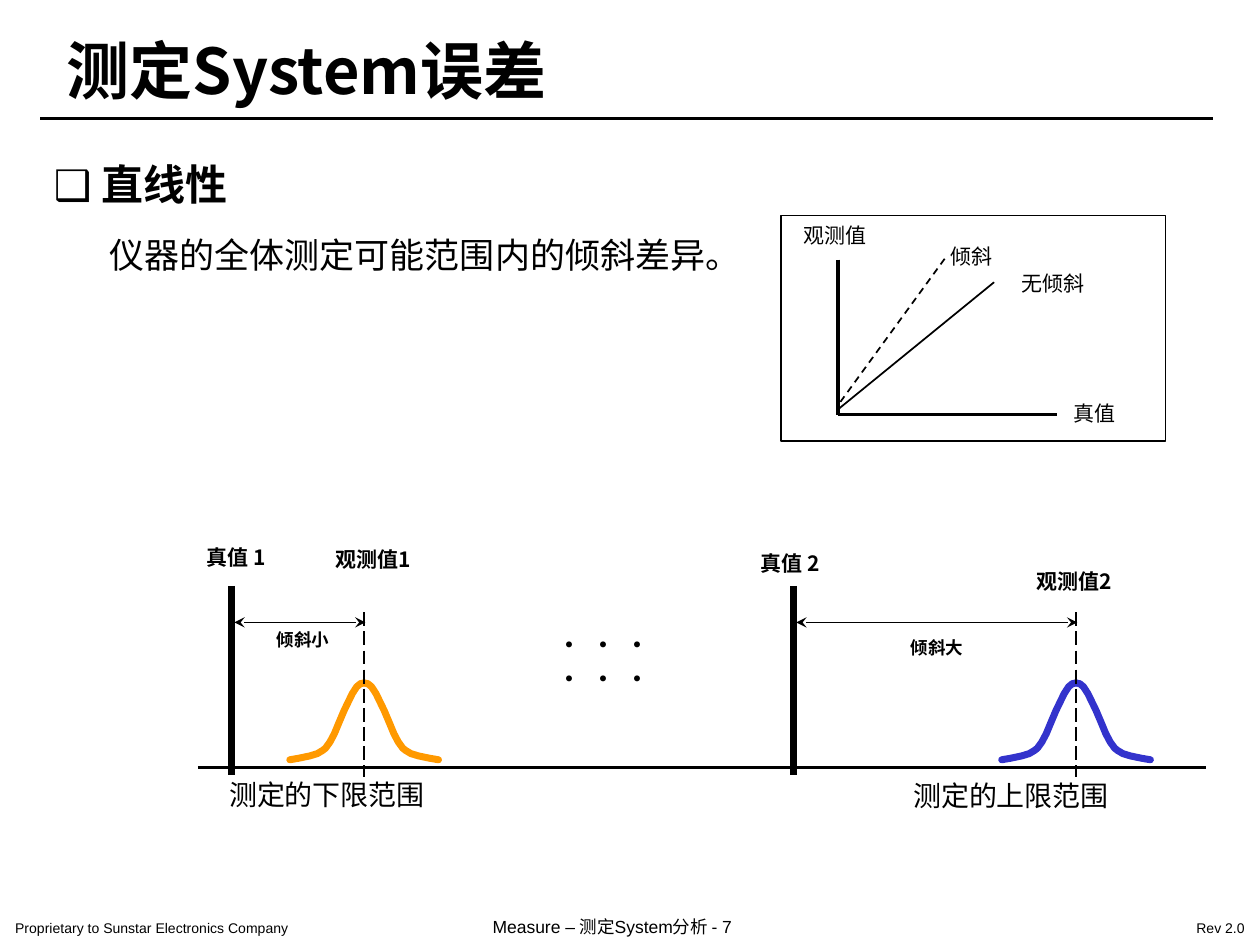
import dataclasses

import pptx
import pptx.dml.color
import pptx.enum.dml
import pptx.enum.shapes
import pptx.enum.text
import pptx.oxml.ns
import pptx.util
from lxml import etree

COLUMNS = 100
BLACK = "000000"
HAN = "Noto Sans CJK SC"
LATIN = "Arial"
ALIGN = pptx.enum.text.PP_ALIGN
ANCHOR = pptx.enum.text.MSO_ANCHOR
DASH = pptx.enum.dml.MSO_LINE
HALF_BELL = [
    (0, 1), (0.12, 0.98), (0.27, 0.95), (0.37, 0.92), (0.44, 0.88),
    (0.48, 0.85), (0.54, 0.77), (0.6, 0.66), (0.66, 0.52), (0.73, 0.36),
    (0.79, 0.24), (0.84, 0.14), (0.9, 0.05), (0.95, 0.01), (1, 0),
]

deck = pptx.Presentation()
deck.slide_width = pptx.util.Inches(10)
deck.slide_height = pptx.util.Inches(7.5)
slide = deck.slides.add_slide(deck.slide_layouts[6])
UNIT = deck.slide_width / COLUMNS


@dataclasses.dataclass
class Box:
    left: float
    top: float
    width: float
    height: float

    def inner(self, left, top, width, height):
        return Box(self.left + left, self.top + top, width, height)

    def lengths(self):
        return [grid(n) for n in (self.left, self.top, self.width, self.height)]


def grid(cells):
    return pptx.util.Emu(round(cells * UNIT))


def color(code):
    return pptx.dml.color.RGBColor.from_string(code)


def stroke(line, weight, code=BLACK):
    line.color.rgb = color(code)
    line.width = pptx.util.Pt(weight)


def add_xml(parent, tag, **attributes):
    return etree.SubElement(parent, pptx.oxml.ns.qn(tag), **attributes)


def write(box, lines, size, bold=False, align=ALIGN.LEFT, wrap=True,
          inset=(1, 0.5), anchor=ANCHOR.TOP, spacing=None, hang=0):
    words = slide.shapes.add_textbox(*box.lengths())
    frame = words.text_frame
    frame.word_wrap = wrap
    frame.vertical_anchor = anchor
    frame.margin_left = frame.margin_right = grid(inset[0])
    frame.margin_top = frame.margin_bottom = grid(inset[1])
    for index, runs in enumerate(lines):
        paragraph = frame.add_paragraph() if index else frame.paragraphs[0]
        paragraph.alignment = align
        if spacing:
            paragraph.line_spacing = spacing
        if hang:
            properties = paragraph._p.get_or_add_pPr()
            properties.set("marL", str(grid(hang)))
            properties.set("indent", str(-grid(hang)))
        for content, face in runs:
            run = paragraph.add_run()
            run.text = content
            run.font.size = pptx.util.Pt(size)
            run.font.bold = bold
            run.font.name = face
            run.font.color.rgb = color(BLACK)
            add_xml(run._r.get_or_add_rPr(), "a:ea", typeface=HAN)


def label(box, content, size=12, **style):
    style.setdefault("align", ALIGN.CENTER)
    write(box, [[(content, HAN)]], size, **style)


def rule(box, start, end, weight, dash=None, arrows=False):
    ends = [(box.left + x, box.top + y) for x, y in (start, end)]
    stroke_line = slide.shapes.add_connector(
        pptx.enum.shapes.MSO_CONNECTOR.STRAIGHT,
        *[grid(n) for point in ends for n in point])
    stroke(stroke_line.line, weight)
    if dash:
        stroke_line.line.dash_style = dash
    if arrows:
        outline = stroke_line.line._get_or_add_ln()
        add_xml(outline, "a:headEnd", type="stealth")
        add_xml(outline, "a:tailEnd", type="stealth")
    add_xml(stroke_line._element.spPr, "a:effectLst")


def bell(box, code):
    for side in (-1, 1):
        middle = box.left + box.width / 2
        points = [(grid(middle + side * (1 - x) * box.width / 2),
                   grid(box.top + y * box.height)) for x, y in HALF_BELL]
        builder = slide.shapes.build_freeform(*points[0])
        builder.add_line_segments(points[1:], close=False)
        half = builder.convert_to_shape()
        half.shadow.inherit = False
        half.fill.background()
        stroke(half.line, 4, code)
        half.line._get_or_add_ln().set("cap", "rnd")


def heading(box):
    label(box.inner(1, 0, 87.5, 5.8), "测定System误差", 36, bold=True,
          align=ALIGN.LEFT, anchor=ANCHOR.MIDDLE, inset=(1.1, 0.6))
    rule(box, (0, 6.8), (box.width, 6.8), 1.5)


def definition(box):
    write(box.inner(0, 0, box.width, 5.4), [[("❑ ", LATIN), ("直线性", HAN)]],
          24, bold=True, hang=3.8)
    label(box.inner(4.4, 4.6, 57.1, 5.7), "仪器的全体测定可能范围内的倾斜差异。",
          20, align=ALIGN.LEFT, spacing=1.4)


def slope_graph(box):
    border = slide.shapes.add_shape(
        pptx.enum.shapes.MSO_SHAPE.RECTANGLE, *box.lengths())
    border.shadow.inherit = False
    border.fill.background()
    stroke(border.line, 1)
    origin = (4.5, 15.8)
    rule(box, (4.5, 3.5), origin, 2)
    rule(box, origin, (21.9, 15.8), 2)
    rule(box, (4.5, 15.4), (16.9, 5.3), 1)
    rule(box, (4.7, 14.8), (13, 3.4), 1, DASH.DASH)
    label(box.inner(0.1, 0.1, 8.4, 3), "观测值")
    label(box.inner(22.2, 14.2, 5.4, 3), "真值", wrap=False)
    label(box.inner(12.4, 1.7, 5.4, 3), "倾斜", wrap=False)
    label(box.inner(18.1, 3.9, 7, 3), "无倾斜", wrap=False)


def range_end(box, number, bias, limit, code, spots):
    true_spot, observed_spot, bias_spot, limit_spot = spots
    rule(box, (0, 3.8), (0, 18.8), 4)
    bell(box.inner(box.width - 5.9, 11.5, 11.8, 6.1), code)
    rule(box, (box.width, 5.9), (box.width, 19), 1, DASH.LONG_DASH)
    rule(box, (0.2, 6.7), (box.width + 0.1, 6.7), 1, arrows=True)
    label(box.inner(*true_spot, 7.7, 3), f"真值 {number}", bold=True)
    label(box.inner(*observed_spot, 8.9, 3), f"观测值{number}", bold=True)
    label(box.inner(*bias_spot, 8.7, 2.7), bias, 10, bold=True)
    label(box.inner(*limit_spot, 17.5, 3.7), limit, 16, align=ALIGN.LEFT,
          wrap=False)


def measuring_range(box):
    rule(box, (0, 18.2), (box.width, 18.2), 2)
    range_end(box.inner(2.7, 0, 10.5, 18.2), 1, "倾斜小", "测定的下限范围", "FF9900",
              [(-3.5, 0), (6.8, 0.2), (1.3, 6.7), (-1.2, 18.5)])
    range_end(box.inner(47.3, 0, 22.4, 18.2), 2, "倾斜大", "测定的上限范围", "3333CC",
              [(-4.15, 0.5), (17.8, 1.9), (7, 7.4), (8.5, 18.6)])
    write(box.inner(26.2, 6.8, 12, 6), [[("• • •", HAN)]] * 2, 16,
          align=ALIGN.CENTER, anchor=ANCHOR.MIDDLE, wrap=False,
          spacing=pptx.util.Pt(19.5))


def footer(box):
    inset = (1.2, 0.6)
    write(box.inner(0, 0.3, 32.1, 2.5),
          [[("Proprietary to Sunstar Electronics Company", LATIN)]], 8, inset=inset)
    write(box.inner(37.9, 0, 28.7, 2.9),
          [[("Measure – 测定System分析 - 7", LATIN)]], 10, wrap=False, inset=inset)
    write(box.inner(93.4, 0.3, 6.6, 2.5), [[("Rev 2.0", LATIN)]], 8,
          align=ALIGN.RIGHT, wrap=False, inset=(1.2, 0.6))


heading(Box(3.2, 2.6, 93.1, 6.8))
definition(Box(3.3, 12.1, 92.5, 10.3))
slope_graph(Box(62, 17.1, 30.5, 17.9))
measuring_range(Box(15.7, 42.7, 80, 22.3))
footer(Box(0, 72.1, 100, 2.9))
deck.save("out.pptx")
